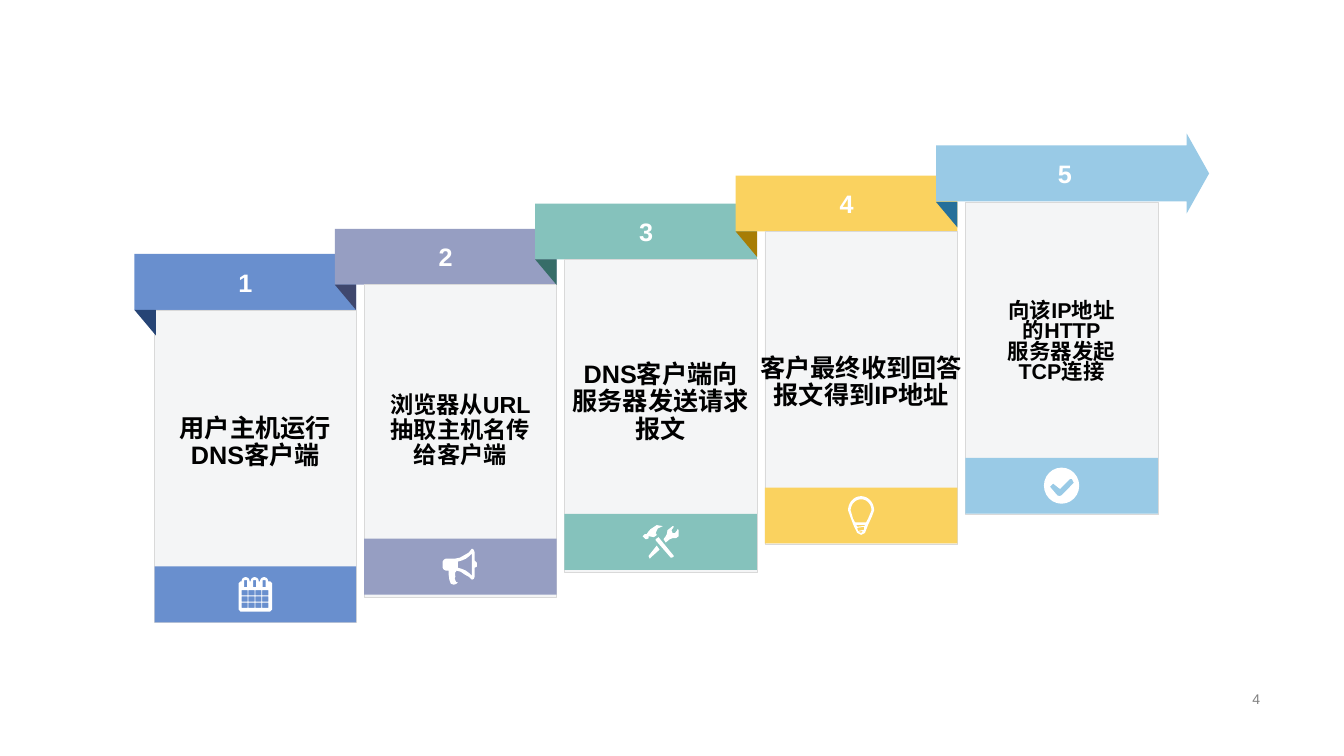
import math
import pptx
import pptx.dml.color
import pptx.enum.shapes
import pptx.enum.text
import pptx.oxml
import pptx.oxml.ns
import pptx.util

RGB = pptx.dml.color.RGBColor
SHAPE = pptx.enum.shapes.MSO_SHAPE
ALIGN = pptx.enum.text.PP_ALIGN
ANCHOR = pptx.enum.text.MSO_ANCHOR

WHITE = RGB(0xFF, 0xFF, 0xFF)
BLACK = RGB(0x00, 0x00, 0x00)
GREY = RGB(0x80, 0x80, 0x80)
PANEL = RGB(0xE4, 0xE6, 0xEA)
PANEL_EDGE = RGB(0xD9, 0xD9, 0xD9)
BLUE, NAVY = RGB(0x69, 0x8F, 0xCE), RGB(0x26, 0x44, 0x75)
LILAC, INDIGO = RGB(0x96, 0x9E, 0xC2), RGB(0x3F, 0x47, 0x6D)
TEAL, PINE = RGB(0x85, 0xC2, 0xBC), RGB(0x37, 0x6D, 0x68)
YELLOW, OCHRE = RGB(0xFA, 0xD2, 0x5F), RGB(0xA7, 0x7D, 0x05)
SKY, OCEAN = RGB(0x99, 0xCA, 0xE6), RGB(0x26, 0x70, 0x9A)

COLUMNS = 160
SLIDE_W, SLIDE_H = pptx.util.Inches(13.333), pptx.util.Inches(7.5)
CELL = SLIDE_W / COLUMNS
RIBBON_W, RIBBON_H = 26.4, 6.65
PANEL_H, LABEL_W = 37.2, 28


def cells(*lengths):
    """Turn grid cells into EMU."""
    return [pptx.util.Emu(round(n * CELL)) for n in lengths]


def arc(cx, cy, rx, ry, start=0, end=360, steps=24):
    """Return points along an elliptical arc."""
    angles = [math.radians(start + (end - start) * k / steps) for k in range(steps + 1)]
    return [(cx + rx * math.cos(a), cy + ry * math.sin(a)) for a in angles]


def box(x, y, w, h):
    """Return the corners of a rectangle."""
    return [(x, y), (x + w, y), (x + w, y + h), (x, y + h)]


def calendar():
    """Return calendar outlines in percent of the icon box."""
    rings = [21, 48, 76]
    body = [(0, 18), (6, 12)] + [p for x in rings for p in arc(x, 12, 12, 12, 180, 360, 10)]
    body += [(94, 12), (100, 18), (100, 94), (94, 100), (6, 100), (0, 94)]
    days = [box(9 + 20.5 * c, 38 + 18 * r, 18, 15) for r in range(3) for c in range(4)]
    return [body] + days + [box(x - 4.5, 9, 9, 20) for x in rings]


def bulb():
    """Return light bulb outlines in percent of the icon box."""
    glass = arc(50, 37, 50, 37, 180, 360)
    glass += [(92, 52), (77, 74), (65, 95), (50, 100), (35, 95), (20, 74), (8, 52)]
    inside = arc(50, 37, 40, 29, 180, 360) + [(77, 58), (69, 68), (27, 68), (19, 58)]
    return [glass, inside, [(31, 74), (65, 74), (64, 77), (35, 79)],
            [(62, 87), (38, 90), (35, 82), (62, 79)], [(50, 95), (38, 92), (58, 90)]]


MEGAPHONE = [
    [(97, 44), (97, 50), (91, 53), (91, 78), (88, 84), (83, 86), (74, 78), (63, 72), (51, 64),
     (40, 61), (35, 67), (36, 78), (34, 83), (38, 92), (43, 94), (38, 98), (31, 100), (23, 97),
     (19, 86), (17, 72), (17, 61), (9, 61), (3, 58), (0, 53), (0, 36), (3, 31), (9, 28),
     (34, 28), (49, 25), (60, 19), (74, 11), (83, 0), (88, 3), (91, 11), (91, 33), (97, 39)],
    [(83, 14), (74, 22), (66, 28), (54, 33), (43, 36), (43, 53), (54, 56), (66, 61), (74, 67),
     (83, 75)]]
TOOLS = [
    [(17, 33), (31, 36), (39, 30), (39, 27), (36, 24), (42, 10), (56, 3), (39, 0), (22, 12),
     (17, 18), (11, 27), (6, 27), (0, 33), (8, 42), (11, 42), (17, 39)],
    [(44, 36), (36, 42), (36, 45), (78, 97), (81, 97), (86, 94), (86, 91)],
    [(100, 15), (97, 12), (94, 18), (89, 24), (83, 24), (80, 15), (86, 6), (86, 3), (83, 3),
     (69, 15), (67, 27), (64, 33), (58, 42), (64, 52), (75, 42), (83, 39), (92, 39), (100, 33)],
    [(17, 91), (17, 94), (20, 100), (22, 97), (47, 73), (39, 61)]]
CHECK = [
    arc(50, 50, 50, 50),
    [(85, 42), (79, 31), (74, 31), (47, 58), (44, 58), (26, 44), (17, 53), (38, 77), (44, 79),
     (50, 77)]]

STEPS = [
    dict(top=30.24, inset=2.4, footer=37.2, color=BLUE, dark=NAVY,
         icon=calendar(), icon_size=(4, 4.1),
         text="用户主机运行\nDNS客户端", size=18, spacing=0.9, text_dy=18.25, text_h=8.04),
    dict(top=27.24, inset=3.48, footer=36.9, color=LILAC, dark=INDIGO,
         icon=MEGAPHONE, icon_size=(4.2, 4.3),
         text="浏览器从URL\n抽取主机名传\n给客户端", size=16.6, spacing=0.9,
         text_dy=18.6, text_h=10.56),
    dict(top=24.24, inset=3.48, footer=36.95, color=TEAL, dark=PINE,
         icon=TOOLS, icon_size=(4.3, 4),
         text="DNS客户端向\n服务器发送请求\n报文", size=18, spacing=0.9,
         text_dy=17.52, text_h=11.64),
    dict(top=20.9, inset=3.48, footer=37.15, color=YELLOW, dark=OCHRE,
         icon=bulb(), icon_size=(3.1, 4.6),
         text="客户最终收到回答\n报文得到IP地址", size=18, spacing=0.9,
         text_dy=20.5, text_h=8.04),
    dict(top=17.4, inset=3.48, footer=37.1, color=SKY, dark=OCEAN,
         icon=CHECK, icon_size=(4.2, 4.3),
         text="向该IP地址\n的HTTP\n服务器发起\nTCP连接", size=15.3, spacing=0.8,
         text_dy=17.4, text_h=11.52),
]


def paint(sp, color):
    """Give a shape a flat fill without line or shadow."""
    sp.shadow.inherit = False
    sp.fill.solid()
    sp.fill.fore_color.rgb = color
    sp.line.fill.background()
    return sp


def add_block(slide, kind, x, y, w, h, color):
    """Add a flat preset shape."""
    return paint(slide.shapes.add_shape(kind, *cells(x, y, w, h)), color)


def add_outline(slide, x, y, w, h, contours, color):
    """Add a freeform whose contours are in percent of its box."""
    paths = [[cells(x + w * px / 100, y + h * py / 100) for px, py in c] for c in contours]
    builder = slide.shapes.build_freeform(*paths[0][0])
    builder.add_line_segments(paths[0][1:], close=True)
    for points in paths[1:]:
        builder.move_to(*points[0])
        builder.add_line_segments(points[1:], close=True)
    return paint(builder.convert_to_shape(), color)


def write(sp, text, size, color, align=ALIGN.CENTER, bold=True, spacing=None,
          anchor=ANCHOR.MIDDLE):
    """Set and format the text of a shape."""
    tf = sp.text_frame
    tf.text = text
    tf.word_wrap = True
    tf.vertical_anchor = anchor
    for p in tf.paragraphs:
        p.alignment = align
        p.line_spacing = spacing
        for r in p.runs:
            r.font.name = "Arial"
            r.font.size = pptx.util.Pt(size)
            r.font.bold = bold
            r.font.color.rgb = color


def add_panel(slide, x, y, w, h):
    """Add the translucent panel of a step."""
    sp = add_block(slide, SHAPE.RECTANGLE, x, y, w, h, PANEL)
    color = sp.fill._xPr.find(".//" + pptx.oxml.ns.qn("a:srgbClr"))
    color.append(pptx.oxml.parse_xml(
        '<a:alpha %s val="40000"/>' % pptx.oxml.ns.nsdecls("a")))
    sp.line.color.rgb = PANEL_EDGE
    sp.line.width = pptx.util.Pt(0.25)


def add_step(slide, x, number, step):
    """Add one step: fold, ribbon, panel, footer, icon and label."""
    y, inset, color = step["top"], step["inset"], step["color"]
    w = RIBBON_W - inset
    center = x + inset + w / 2
    footer_y = y + step["footer"]
    if number == len(STEPS):
        ribbon = add_block(slide, SHAPE.RIGHT_ARROW, x, y - 1.5, 32.5, 9.5, color)
        ribbon.adjustments[0], ribbon.adjustments[1] = 0.7, 0.28
    else:
        ribbon = add_block(slide, SHAPE.RECTANGLE, x, y, RIBBON_W, RIBBON_H, color)
    write(ribbon, str(number), 18, WHITE)
    add_panel(slide, x + inset, y + RIBBON_H, w, PANEL_H)
    add_outline(slide, x, y + RIBBON_H, 2.55, 3.04, [[(0, 0), (100, 0), (100, 100)]],
                step["dark"])
    add_block(slide, SHAPE.RECTANGLE, x + inset, footer_y, w, RIBBON_H, color)
    iw, ih = step["icon_size"]
    add_outline(slide, center - iw / 2, footer_y + (RIBBON_H - ih) / 2, iw, ih,
                step["icon"], WHITE)
    label = slide.shapes.add_textbox(*cells(center - LABEL_W / 2, y + step["text_dy"],
                                            LABEL_W, step["text_h"]))
    write(label, step["text"], step["size"], BLACK, spacing=step["spacing"],
          anchor=ANCHOR.BOTTOM)


def add_page_number(slide, x, y, w, h):
    """Add the page number at the right of its box."""
    sp = slide.shapes.add_textbox(*cells(x, y, w, h))
    write(sp, "4", 10, GREY, align=ALIGN.RIGHT, bold=False)


def main():
    """Build the slide of five rising steps."""
    prs = pptx.Presentation()
    prs.slide_width, prs.slide_height = SLIDE_W, SLIDE_H
    slide = prs.slides.add_slide(prs.slide_layouts[6])
    add_page_number(slide, 113, 81.84, 38.2, 2.76)
    for i, step in enumerate(STEPS):
        add_step(slide, 16 + 23.86 * i, i + 1, step)
    prs.save("out.pptx")


if __name__ == "__main__":
    main()
